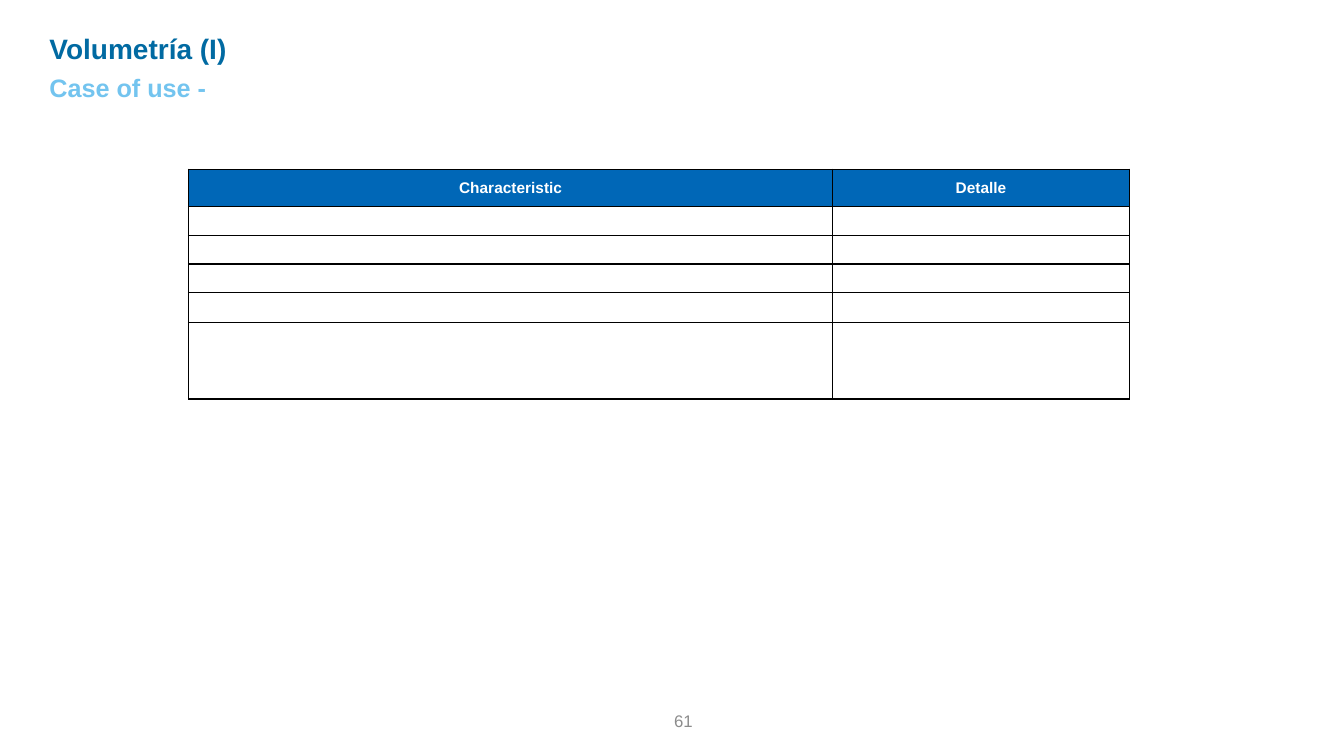
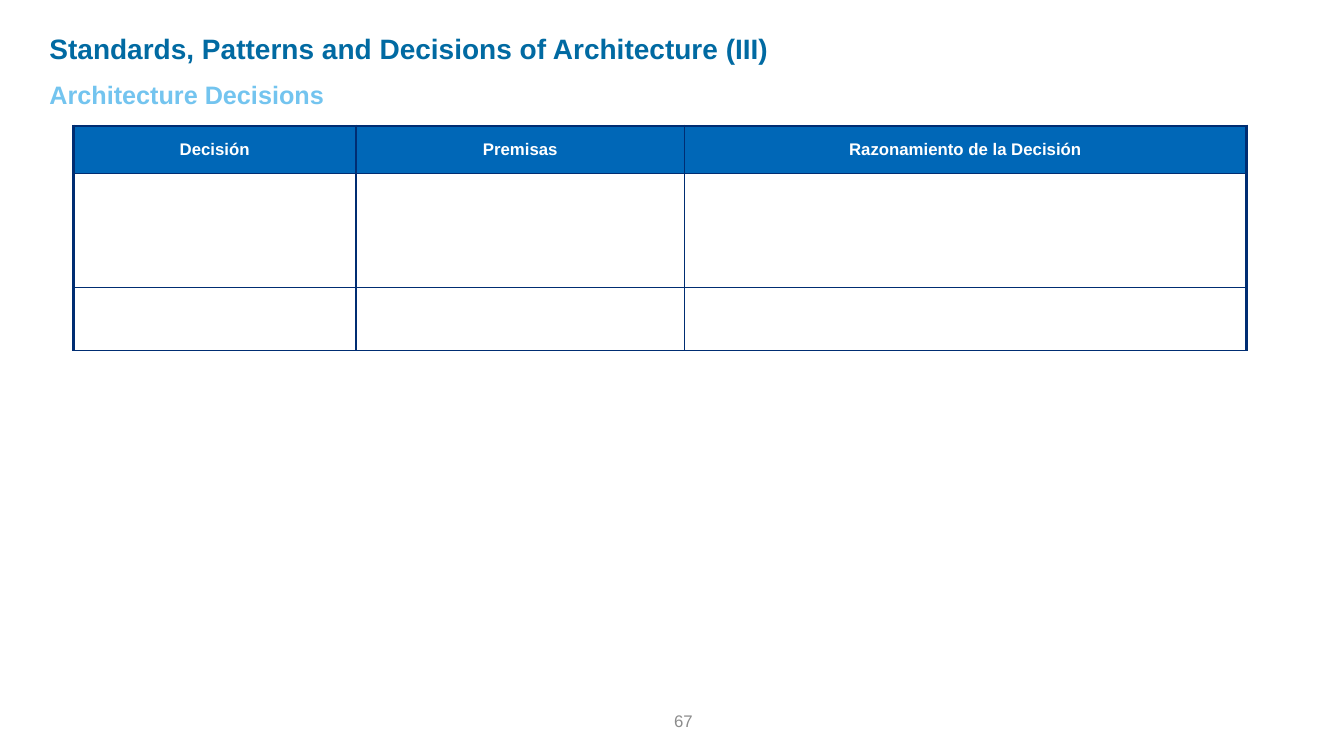
from dataclasses import dataclass

from pptx import Presentation
from pptx.dml.color import RGBColor as Rgb
from pptx.enum.text import MSO_ANCHOR as Anchor, MSO_AUTO_SIZE as AutoSize, PP_ALIGN as Align
from pptx.oxml.xmlchemy import OxmlElement
from pptx.util import Pt

EMU_PER_PX = 9144
SLIDE_SIZE = (1333, 750)
TITLE_BOX = (44, 26, 830, 44)
NUMBER_BOX = (334, 695, 363, 40)


@dataclass(frozen=True)
class Theme:
    font: str = "Arial"
    title: str = "016AA2"
    subtitle: str = "73C4EF"
    number: str = "8C8C8C"
    header: str = "0067B7"
    white: str = "FFFFFF"
    black: str = "000000"
    navy: str = "002D72"
    title_size: int = 20
    subtitle_size: int = 18
    number_size: int = 12
    thin: float = 1
    thick: float = 2.25


THEME = Theme()


@dataclass(frozen=True)
class Grid:
    left: int
    top: int
    columns: tuple
    rows: tuple
    headings: tuple
    line: str
    outer: float
    text_size: int
    margins: tuple


def px(*lengths):
    return [length * EMU_PER_PX for length in lengths]


def style(paragraph, size, color, bold=True, align=Align.LEFT):
    paragraph.alignment = align
    font = paragraph.font
    font.name, font.size, font.bold = THEME.font, Pt(size), bold
    font.color.rgb = Rgb.from_string(color)


def add_text(slide, box, text, size, color, bold=True, align=Align.LEFT,
             anchor=Anchor.TOP, side_inset=5):
    frame = slide.shapes.add_textbox(*px(*box)).text_frame
    frame.word_wrap = True
    frame.auto_size = AutoSize.NONE
    frame.vertical_anchor = anchor
    frame.margin_left, frame.margin_right = px(side_inset, side_inset)
    frame.margin_top, frame.margin_bottom = px(5, 5)
    frame.text = text
    style(frame.paragraphs[0], size, color, bold, align)


def add_border(cell, side, color, width):
    line = OxmlElement(f"a:ln{side}")
    line.set("w", str(Pt(width)))
    fill = OxmlElement("a:solidFill")
    shade = OxmlElement("a:srgbClr")
    shade.set("val", color)
    fill.append(shade)
    line.append(fill)
    cell._tc.get_or_add_tcPr().append(line)


def fill_cell(cell, color):
    cell.fill.solid()
    cell.fill.fore_color.rgb = Rgb.from_string(color)


def set_empty_size(cell, size):
    end = OxmlElement("a:endParaRPr")
    end.set("sz", str(size * 100))
    cell.text_frame.paragraphs[0]._p.append(end)


def add_grid(slide, grid):
    box = (grid.left, grid.top, sum(grid.columns), sum(grid.rows))
    shape = slide.shapes.add_table(len(grid.rows), len(grid.columns), *px(*box))
    table = shape.table
    table.first_row = table.horz_banding = False
    for column, width in zip(table.columns, px(*grid.columns)):
        column.width = width
    for row, height in zip(table.rows, px(*grid.rows)):
        row.height = height
    side, edge = px(*grid.margins)
    last = len(grid.columns) - 1
    for r, row in enumerate(table.rows):
        for c, cell in enumerate(row.cells):
            outer_sides = {"L": c == 0, "R": c == last, "T": r == 0, "B": False}
            for name, outer in outer_sides.items():
                add_border(cell, name, grid.line, grid.outer if outer else THEME.thin)
            cell.margin_left = cell.margin_right = side
            cell.margin_top = cell.margin_bottom = edge
            cell.vertical_anchor = Anchor.MIDDLE
            fill_cell(cell, THEME.white if r else THEME.header)
            if r:
                set_empty_size(cell, grid.text_size)
            else:
                cell.text = grid.headings[c]
                style(cell.text_frame.paragraphs[0], grid.text_size,
                      THEME.white, align=Align.CENTER)


def add_table_slide(presentation, title, subtitle, subtitle_box, number, grid):
    slide = presentation.slides.add_slide(presentation.slide_layouts[6])
    add_text(slide, NUMBER_BOX, number, THEME.number_size, THEME.number, bold=False,
             align=Align.RIGHT, anchor=Anchor.MIDDLE, side_inset=10)
    add_text(slide, TITLE_BOX, title, THEME.title_size, THEME.title)
    add_text(slide, subtitle_box, subtitle, THEME.subtitle_size, THEME.subtitle)
    add_grid(slide, grid)


def main():
    presentation = Presentation()
    presentation.slide_width, presentation.slide_height = px(*SLIDE_SIZE)
    volumes = Grid(
        left=187, top=168, columns=(639, 294), rows=(37, 29, 28, 28, 30, 76),
        headings=("Characteristic", "Detalle"), line=THEME.black,
        outer=THEME.thin, text_size=11, margins=(0, 0))
    decisions = Grid(
        left=73, top=125, columns=(280, 326, 557), rows=(47, 113, 63),
        headings=("Decisión", "Premisas", "Razonamiento de la Decisión"),
        line=THEME.navy, outer=THEME.thick, text_size=12, margins=(10, 5))
    add_table_slide(presentation, "Volumetría (I)", "Case of use -",
                    (44, 67, 584, 40), "61", volumes)
    add_table_slide(presentation, "Standards, Patterns and Decisions of Architecture (III)",
                    "Architecture Decisions", (44, 74, 782, 40), "67", decisions)
    presentation.save("out.pptx")


if __name__ == "__main__":
    main()
